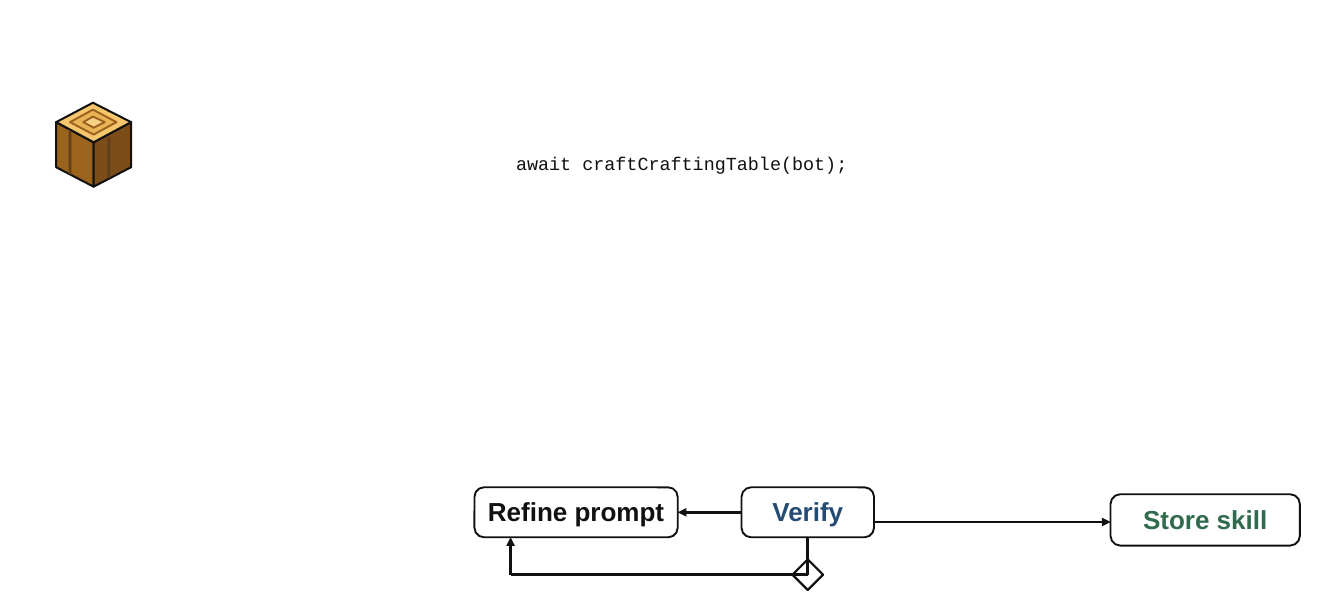
from lxml.etree import SubElement
from pptx import Presentation
from pptx.dml.color import RGBColor
from pptx.enum.shapes import MSO_CONNECTOR, MSO_SHAPE
from pptx.enum.text import MSO_ANCHOR, PP_ALIGN
from pptx.oxml.ns import qn
from pptx.util import Inches, Pt

INK = "111111"
WHITE = "FFFFFF"
BARK = "623F19"
RING = "99601F"
DPI = 96

CUBE = [
    ("9A641D", INK, 2.1, [(0, .28), (.54, .57), (.54, 1.21), (0, .93)]),
    ("7C4D19", INK, 2.1, [(.54, .57), (1.08, .28), (1.08, .93), (.54, 1.21)]),
    ("F5C66C", INK, 2.1, [(0, .28), (.53, 0), (1.08, .28), (.54, .57)]),
    ("E8B354", RING, 1.95, [(.2, .28), (.53, .1), (.87, .28), (.54, .46)]),
    ("F8D184", RING, 1.95, [(.39, .28), (.53, .2), (.7, .28), (.54, .36)]),
    (BARK, None, 0, [(.18, .38), (.18, 1.02), (.22, 1.04), (.22, .42)]),
    (BARK, None, 0, [(.74, .51), (.74, 1.09), (.78, 1.07), (.78, .49)]),
]


def color(code):
    """Turn a hex string into a colour."""
    return RGBColor.from_string(code)


def paint(shape, fill, line, width):
    """Give a shape its fill and outline, without a shadow."""
    shape.shadow.inherit = False
    shape.fill.solid()
    shape.fill.fore_color.rgb = color(fill)
    if line:
        shape.line.color.rgb = color(line)
        shape.line.width = Pt(width)
    else:
        shape.line.fill.background()


def style(para, text, font, size, tint, bold=False):
    """Write one paragraph in one font."""
    para.text = text
    para.font.name = font
    para.font.size = Pt(size)
    para.font.bold = bold
    para.font.color.rgb = color(tint)


def cube(slide, left, top):
    """Draw the wooden cube as a group of faces, rings and bark stripes."""
    group = slide.shapes.add_group_shape()
    for fill, line, width, points in CUBE:
        spots = [(Inches(left + x), Inches(top + y)) for x, y in points]
        pen = group.shapes.build_freeform(*spots[0])
        pen.add_line_segments(spots[1:], close=True)
        paint(pen.convert_to_shape(), fill, line, width)


def code(slide, left, top, wide, high):
    """Place the line of code."""
    frame = slide.shapes.add_textbox(
        Inches(left), Inches(top), Inches(wide), Inches(high)).text_frame
    frame.margin_left = frame.margin_right = 0
    frame.margin_top = frame.margin_bottom = 0
    frame.word_wrap = False
    style(frame.paragraphs[0], "await craftCraftingTable(bot);",
          "Courier New", 19.1, INK)


def step(slide, text, tint, left, top, wide, high):
    """Draw one rounded step with its label."""
    shape = slide.shapes.add_shape(
        MSO_SHAPE.ROUNDED_RECTANGLE,
        Inches(left), Inches(top), Inches(wide), Inches(high))
    shape.adjustments[0] = .19
    paint(shape, WHITE, INK, 1.95)
    frame = shape.text_frame
    frame.margin_left = frame.margin_right = Inches(.04)
    frame.margin_top = frame.margin_bottom = 0
    frame.vertical_anchor = MSO_ANCHOR.MIDDLE
    frame.word_wrap = True
    para = frame.paragraphs[0]
    para.alignment = PP_ALIGN.CENTER
    para.line_spacing = Pt(29.7)
    style(para, text, "Arial", 27, tint, bold=True)


def link(slide, start, end, arrow=True):
    """Draw a straight line, with an arrowhead at its end if asked."""
    line = slide.shapes.add_connector(
        MSO_CONNECTOR.STRAIGHT, *map(Inches, start + end))
    line.line.color.rgb = color(INK)
    line.line.width = Pt(3)
    if arrow:
        ends = line._element.spPr.find(qn("a:ln"))
        SubElement(ends, qn("a:tailEnd"), type="triangle")
    SubElement(line._element.spPr, qn("a:effectLst"))


def flow(slide, left, top):
    """Draw the steps, the decision diamond and the arrows between them."""
    high = .72
    refine, check, store = 2.93, 1.91, 2.73
    verify = left + 3.85
    last = left + 9.17
    mid = verify + check / 2
    low = top + 1.26
    half = .22
    step(slide, "Refine prompt", INK, left, top, refine, high)
    step(slide, "Verify", "244B73", verify, top, check, high)
    step(slide, "Store skill", "2F6B4C", last, top + .1, store, .74)
    gem = slide.shapes.add_shape(
        MSO_SHAPE.DIAMOND, Inches(mid - half), Inches(low - half),
        Inches(2 * half), Inches(2 * half))
    paint(gem, WHITE, INK, 2.25)

    row = top + high / 2
    link(slide, (verify, row), (left + refine, row))
    link(slide, (verify + check, top + .5), (last, top + .5))
    turn = left + .52
    loop = [(mid, top + high), (mid, low), (turn, low), (turn, top + high)]
    for spot, (start, end) in enumerate(zip(loop, loop[1:])):
        link(slide, start, end, arrow=spot == 2)


def main():
    """Build and save the slide."""
    deck = Presentation()
    deck.slide_width = Inches(1860 / DPI)
    deck.slide_height = Inches(845 / DPI)
    slide = deck.slides.add_slide(deck.slide_layouts[6])
    cube(slide, .81, 1.48)
    code(slide, 7.44, 2.19, 4.8, .33)
    flow(slide, 6.84, 7.02)
    deck.save("out.pptx")


if __name__ == "__main__":
    main()
